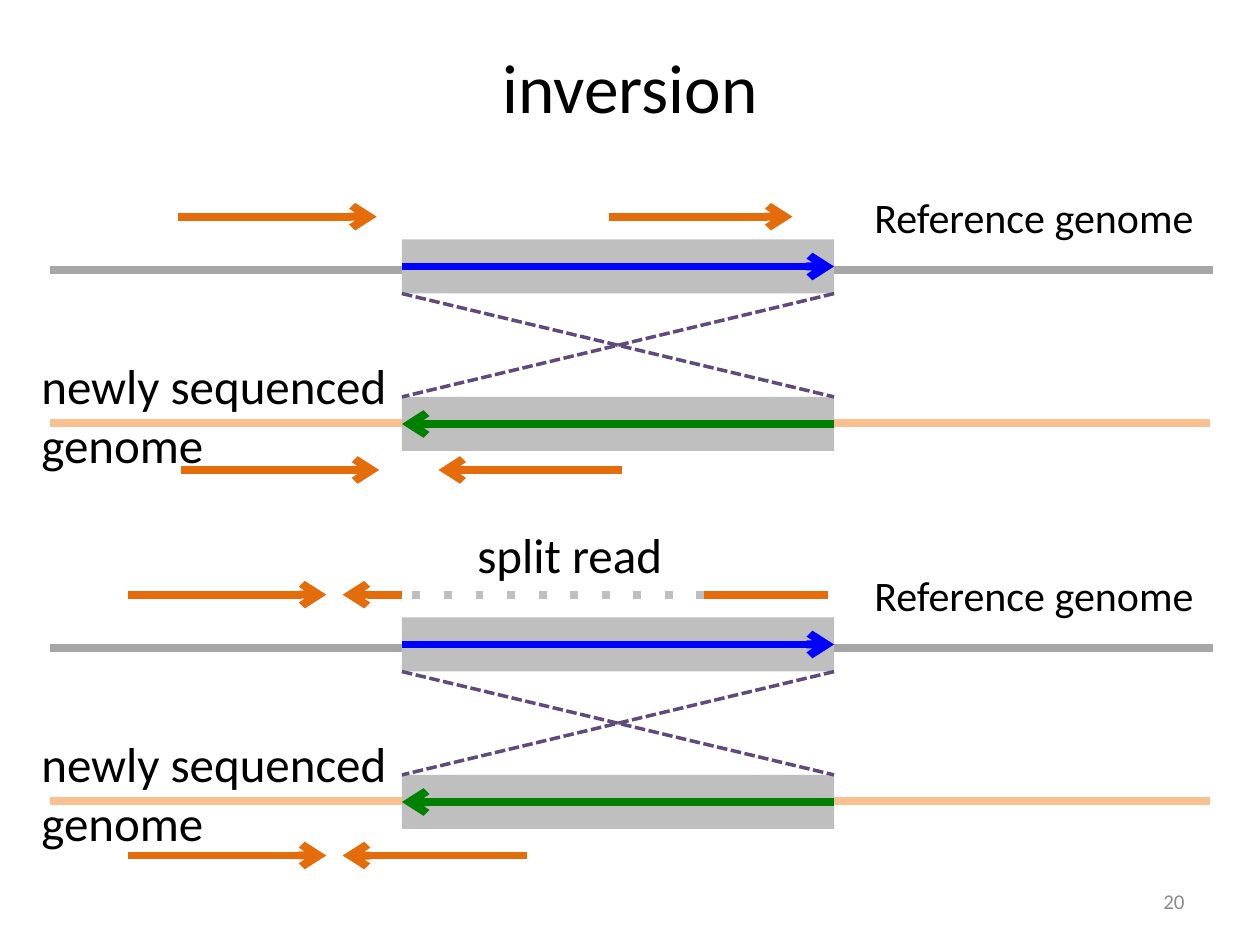
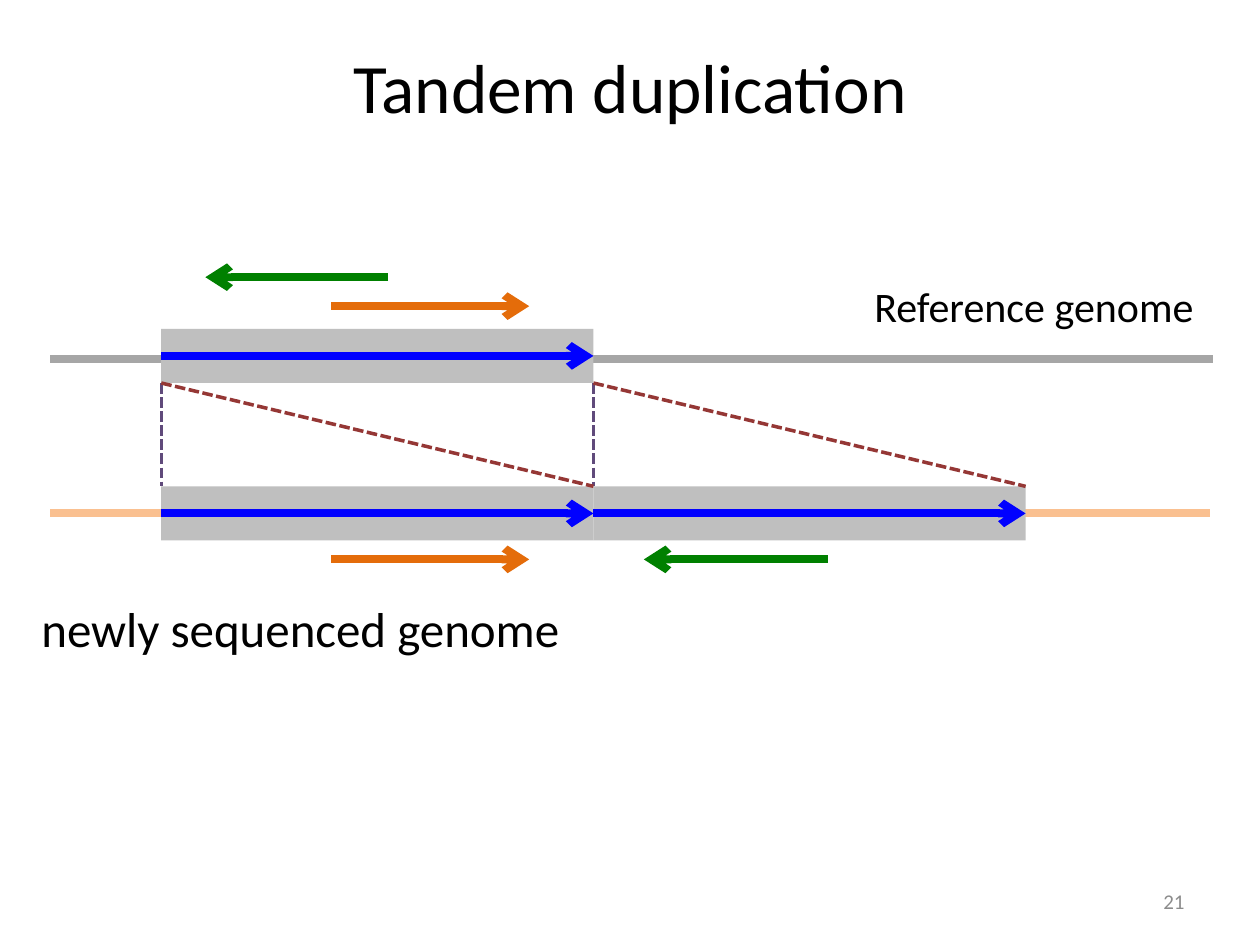
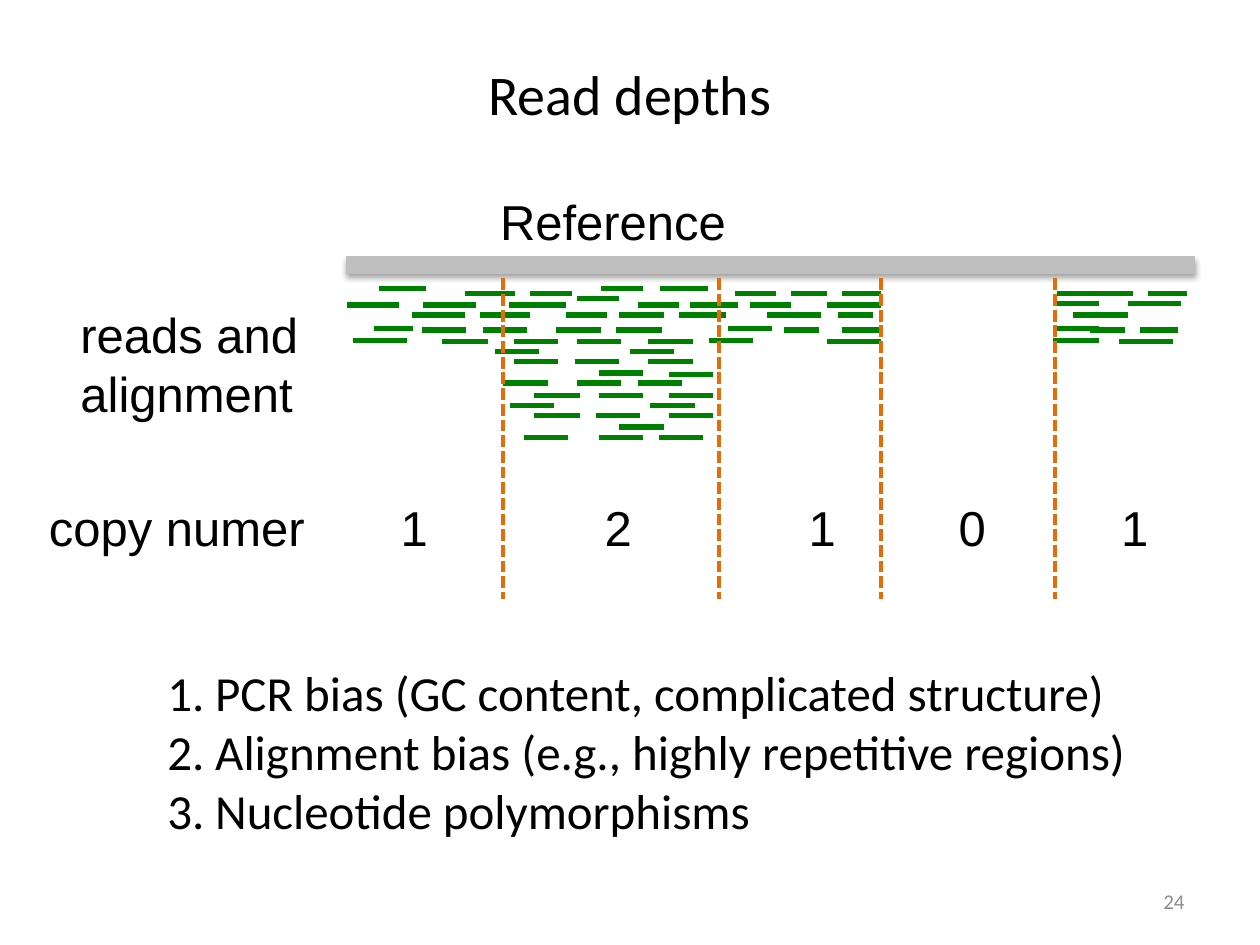
from dataclasses import dataclass

from lxml import etree
from pptx import Presentation
from pptx.dml.color import RGBColor
from pptx.enum.shapes import MSO_CONNECTOR, MSO_SHAPE
from pptx.enum.text import MSO_ANCHOR, MSO_AUTO_SIZE, PP_ALIGN
from pptx.oxml.ns import qn
from pptx.shapes.autoshape import Shape
from pptx.shapes.connector import Connector
from pptx.slide import Slide
from pptx.util import Pt

EMU_PER_PX = 9144  # 100 px to the inch
STRAIGHT = MSO_CONNECTOR.STRAIGHT
RECTANGLE = MSO_SHAPE.RECTANGLE
TOP, MIDDLE = MSO_ANCHOR.TOP, MSO_ANCHOR.MIDDLE
LEFT, CENTER, RIGHT = PP_ALIGN.LEFT, PP_ALIGN.CENTER, PP_ALIGN.RIGHT
FIT_SHAPE, NO_FIT = MSO_AUTO_SIZE.SHAPE_TO_FIT_TEXT, MSO_AUTO_SIZE.NONE
LEFT_SIDE, RIGHT_SIDE = 1, 3

BLACK, GRAY, DARK_GRAY, PAGE_GRAY = "000000", "BFBFBF", "A6A6A6", "8C8C8C"
BLUE, GREEN, ORANGE, PEACH = "0000FF", "008000", "E46C0A", "FAC090"
PURPLE, DARK_RED = "604A7B", "953735"

SEGMENT_WIDTH, SEGMENT_HEIGHT = 343, 43
SEQUENCED_OFFSET = 125  # from a reference segment down to a sequenced one


@dataclass
class Line:
    x1: int
    y1: int
    x2: int
    y2: int
    color: str = ORANGE
    width: float = 4.5
    dash: str = ""
    arrow: bool = False


@dataclass
class Label:
    left: int
    top: int
    width: int
    height: int
    text: str
    size: float = 28
    font: str = "Calibri"
    color: str = BLACK
    align: PP_ALIGN = LEFT
    anchor: MSO_ANCHOR = TOP
    wrap: bool = False
    fit: MSO_AUTO_SIZE = FIT_SHAPE
    numbered: bool = False
    tabs: tuple[int, ...] = ()


@dataclass
class Segment:
    left: int
    top: int
    color: str = BLUE
    reverse: bool = False


# Reads below the reference: height -> start and end of each read
READS = {
    229: [(301, 338), (477, 510), (524, 562)],
    233: [(369, 409), (421, 454), (583, 616), (628, 656), (668, 699), (685, 699),
          (839, 872), (871, 899), (885, 899), (911, 942)],
    237: [(458, 491)],
    241: [(839, 872), (895, 937)],
    242: [(275, 317), (336, 378), (404, 449), (506, 539), (548, 586), (595, 628),
          (656, 699)],
    250: [(327, 369), (381, 421), (449, 482), (491, 527), (539, 576), (609, 652),
          (665, 693), (852, 895)],
    261: [(297, 328), (578, 613), (836, 872)],
    262: [(335, 370), (383, 418), (441, 477), (489, 525), (622, 650), (668, 699),
          (685, 699), (865, 893), (879, 893), (905, 935)],
    270: [(280, 323), (563, 598), (836, 872)],
    271: [(351, 387), (408, 443), (458, 493), (514, 550), (656, 699), (888, 931)],
    279: [(393, 428), (500, 535)],
    287: [(408, 443), (456, 491), (514, 550)],
    296: [(475, 510)],
    297: [(531, 566)],
    304: [(399, 435), (458, 493), (506, 541)],
    314: [(424, 460), (475, 510), (531, 566)],
    322: [(405, 440), (516, 552)],
    330: [(424, 460), (473, 508), (531, 566)],
    339: [(491, 527)],
    347: [(416, 451), (475, 510), (523, 558)],
}


def px(length: int) -> int:
    return length * EMU_PER_PX


def rgb(color: str) -> RGBColor:
    return RGBColor.from_string(color)


def set_all(target: object, values: dict) -> None:
    for name, value in values.items():
        setattr(target, name, value)


def add_element(parent, tag: str, **attributes: str):
    return etree.SubElement(parent, qn(tag), attributes)


def write_text(shape: Shape, label: Label) -> None:
    """Fill a text box or placeholder, one paragraph to a line of text."""
    frame = shape.text_frame
    frame.text = label.text
    set_all(frame, {"word_wrap": label.wrap, "auto_size": label.fit,
                    "vertical_anchor": label.anchor})
    for paragraph in frame.paragraphs:
        paragraph.alignment = label.align
        properties = paragraph._p.get_or_add_pPr()
        if label.numbered:
            set_indent = {"marL": str(px(38)), "indent": str(-px(38))}
            for name, value in set_indent.items():
                properties.set(name, value)
            add_element(properties, "a:buFont", typeface="+mj-lt")
            add_element(properties, "a:buAutoNum", type="arabicPeriod")
        if label.tabs:
            tab_list = add_element(properties, "a:tabLst")
            for position in label.tabs:
                add_element(tab_list, "a:tab", pos=str(px(position)), algn="l")
        set_all(paragraph.font, {"size": Pt(label.size), "name": label.font})
        paragraph.font.color.rgb = rgb(label.color)


def draw_label(slide: Slide, label: Label) -> None:
    box = slide.shapes.add_textbox(
        px(label.left), px(label.top), px(label.width), px(label.height))
    write_text(box, label)


def draw_line(slide: Slide, line: Line) -> Connector:
    connector = slide.shapes.add_connector(
        STRAIGHT, px(line.x1), px(line.y1), px(line.x2), px(line.y2))
    connector.line.color.rgb = rgb(line.color)
    connector.line.width = Pt(line.width)
    properties = connector._element.spPr
    outline = properties.find(qn("a:ln"))
    if line.dash:
        add_element(outline, "a:prstDash", val=line.dash)
    if line.arrow:
        add_element(outline, "a:tailEnd", type="arrow")
    add_element(properties, "a:effectLst")
    return connector


def draw_read(slide: Slide, start: int, end: int, y: int, color: str = ORANGE) -> None:
    draw_line(slide, Line(start, y, end, y, color, arrow=True))


def draw_bar(slide: Slide, left: int, top: int, width: int, height: int) -> Shape:
    bar = slide.shapes.add_shape(RECTANGLE, px(left), px(top), px(width), px(height))
    bar.shadow.inherit = False
    bar.fill.solid()
    bar.fill.fore_color.rgb = rgb(GRAY)
    bar.line.fill.background()
    return bar


def draw_segment(slide: Slide, segment: Segment) -> None:
    """Draw a gray bar crossed by an arrow that shows its direction."""
    bar = draw_bar(slide, segment.left, segment.top, SEGMENT_WIDTH, SEGMENT_HEIGHT)
    middle = segment.top + SEGMENT_HEIGHT // 2
    arrow = draw_line(slide, Line(segment.left, middle, segment.left + SEGMENT_WIDTH,
                                  middle, segment.color, arrow=True))
    sides = (RIGHT_SIDE, LEFT_SIDE) if segment.reverse else (LEFT_SIDE, RIGHT_SIDE)
    arrow.begin_connect(bar, sides[0])
    arrow.end_connect(bar, sides[1])


def draw_genomes(slide: Slide, top: int, segments: list[Segment]) -> None:
    """Draw the two genome lines and their segments; top is the reference segment's."""
    draw_line(slide, Line(40, top + 146, 960, top + 146, PEACH))
    draw_line(slide, Line(40, top + 24, 963, top + 24, DARK_GRAY))
    draw_label(slide, Label(684, top - 43, 279, 50, "Reference genome", 24))
    for segment in segments:
        draw_segment(slide, segment)


def draw_link(slide: Slide, start: int, end: int, top: int, color: str = PURPLE) -> None:
    """Dash a line from a reference segment's foot to a sequenced segment's top."""
    draw_line(slide, Line(start, top + SEGMENT_HEIGHT, end, top + SEQUENCED_OFFSET,
                          color, 2, "sysDash"))


def add_titled_slide(presentation: Presentation, title: str, number: int,
                     size: float = 39.6, height: int = 76) -> Slide:
    slide = presentation.slides.add_slide(presentation.slide_layouts[5])
    label = Label(50, 30, 900, height, title, size, align=CENTER, anchor=MIDDLE,
                  wrap=True, fit=NO_FIT)
    placeholder = slide.shapes.title
    set_all(placeholder, {"left": px(label.left), "top": px(label.top),
                          "width": px(label.width), "height": px(label.height)})
    write_text(placeholder, label)
    draw_label(slide, Label(717, 695, 233, 40, str(number), 12, color=PAGE_GRAY,
                            align=RIGHT, anchor=MIDDLE, wrap=True, fit=NO_FIT))
    return slide


def build_inversion(presentation: Presentation) -> None:
    slide = add_titled_slide(presentation, "inversion", 20)
    left, right = 319, 319 + SEGMENT_WIDTH
    for top, label_width in ((190, 325), (490, 345)):
        draw_genomes(slide, top, [
            Segment(left, top),
            Segment(left, top + SEQUENCED_OFFSET, GREEN, reverse=True)])
        draw_link(slide, right, left, top)
        draw_link(slide, left, right, top)
        draw_label(slide, Label(23, top + 87, label_width, 104,
                                "newly sequenced genome", wrap=True))
    for start, end, y in (
        (141, 299, 172), (483, 629, 172),
        (144, 301, 373), (494, 348, 373),
        (102, 259, 472), (319, 272, 472),
        (102, 259, 679), (418, 272, 679),
    ):
        draw_read(slide, start, end, y)
    draw_line(slide, Line(657, 472, 559, 472))
    draw_line(slide, Line(559, 472, 320, 472, GRAY, dash="dot"))
    draw_label(slide, Label(369, 411, 169, 57, "split read"))


def build_duplication(presentation: Presentation) -> None:
    slide = add_titled_slide(presentation, "Tandem duplication", 21)
    top = 261
    first, second, end = (128 + SEGMENT_WIDTH * step for step in range(3))
    draw_genomes(slide, top, [
        Segment(first, top),
        Segment(first, top + SEQUENCED_OFFSET),
        Segment(second, top + SEQUENCED_OFFSET)])
    for x in (second, first):
        draw_link(slide, x, x, top)
    draw_link(slide, first, second, top, DARK_RED)
    draw_link(slide, second, end, top, DARK_RED)
    for y in (243, 444):
        draw_read(slide, 263, 420, y)
    draw_read(slide, 308, 163, 220, GREEN)
    draw_read(slide, 657, 511, 444, GREEN)
    draw_label(slide, Label(23, 470, 436, 57, "newly sequenced genome"))


def build_read_depths(presentation: Presentation) -> None:
    slide = add_titled_slide(presentation, "Read depths", 24, 32, 88)
    reference = draw_bar(slide, 275, 204, 673, 13)
    reference.line.color.rgb = rgb(GRAY)
    reference.line.width = Pt(0.75)
    effects = reference._element.spPr.find(qn("a:effectLst"))
    shadow = add_element(effects, "a:outerShdw", blurRad=str(Pt(3.1)),
                         dist=str(Pt(1.8)), dir="5400000", rotWithShape="0")
    shadow_color = add_element(shadow, "a:srgbClr", val=BLACK)
    add_element(shadow_color, "a:alpha", val="35000")

    for y, spans in READS.items():
        for start, end in spans:
            draw_line(slide, Line(start, y, end, y, GREEN, 3))
    for label in (
        Label(54, 237, 219, 104, "reads and alignment", font="Arial", wrap=True),
        Label(387, 147, 202, 57, "Reference", font="Arial"),
        Label(29, 390, 931, 57, "copy numer\t1\t2\t1\t0\t1", font="Arial", wrap=True,
              tabs=(279, 441, 603, 722, 851)),
    ):
        draw_label(slide, label)
    for boundary in (399, 571, 699, 837):
        draw_line(slide, Line(boundary, 221, boundary, 475, ORANGE, 2.25, "sysDash"))
    biases = ("PCR bias (GC content, complicated structure)",
              "Alignment bias (e.g., highly repetitive regions)",
              "Nucleotide polymorphisms")
    draw_label(slide, Label(123, 521, 788, 151, "\n".join(biases), numbered=True))


def main() -> None:
    presentation = Presentation()
    presentation.slide_width, presentation.slide_height = px(1000), px(750)
    build_inversion(presentation)
    build_duplication(presentation)
    build_read_depths(presentation)
    presentation.save("out.pptx")


if __name__ == "__main__":
    main()
